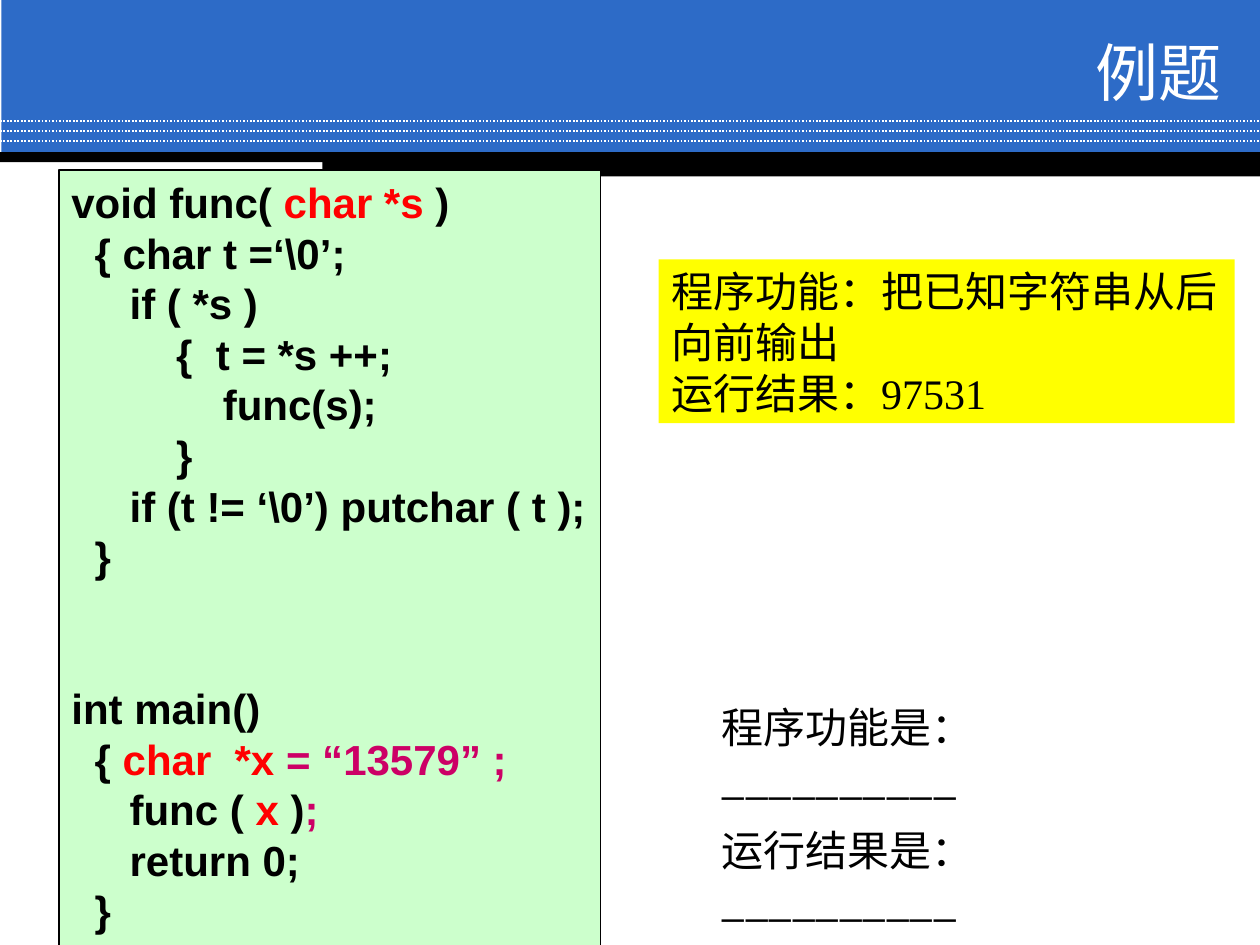
from pptx import Presentation
from pptx.dml.color import RGBColor
from pptx.enum.dml import MSO_LINE
from pptx.enum.shapes import MSO_CONNECTOR, MSO_SHAPE
from pptx.enum.text import MSO_ANCHOR, PP_ALIGN
from pptx.oxml.ns import qn
from pptx.util import Cm, Pt
from lxml import etree

COLORS = {"blue": "2D6BC7", "white": "FFFFFF", "black": "000000", "yellow": "FFFF00",
          "green": "CCFFCC", "red": "FF0000", "magenta": "CC0066"}
CJK_FONT = "Noto Sans CJK SC"
LINE_PITCH = Pt(28.9)


def add_box(left, top, width, height, fill=None):
    shape = slide.shapes.add_shape(MSO_SHAPE.RECTANGLE, Cm(left), Cm(top), Cm(width), Cm(height))
    shape.shadow.inherit = False
    shape.line.fill.background()
    if fill:
        shape.fill.solid()
        shape.fill.fore_color.rgb = RGBColor.from_string(COLORS[fill])
    else:
        shape.fill.background()
    text_frame = shape.text_frame
    text_frame.word_wrap = True
    text_frame.vertical_anchor = MSO_ANCHOR.TOP
    return shape


def write_lines(shape, lines, font_name, size=24, bold=False):
    """Each line is a list of (text, colour) runs."""
    text_frame = shape.text_frame
    for index, line in enumerate(lines):
        paragraph = text_frame.add_paragraph() if index else text_frame.paragraphs[0]
        paragraph.alignment = PP_ALIGN.LEFT
        if size == 24:
            paragraph.line_spacing = LINE_PITCH
        for text, color in line:
            run = paragraph.add_run()
            run.text = text
            run.font.size = Pt(size)
            run.font.bold = bold
            run.font.name = font_name
            run.font.color.rgb = RGBColor.from_string(COLORS[color])
            east_asian = etree.SubElement(run.font._element, qn("a:ea"))
            east_asian.set("typeface", CJK_FONT)
    return text_frame.paragraphs


presentation = Presentation()
presentation.slide_width, presentation.slide_height = Cm(25.4), Cm(19.05)
slide = presentation.slides.add_slide(presentation.slide_layouts[6])

# Header band with dotted rules and black bars
add_box(0.03, 0, 25.37, 3.12, "blue")
for row in range(3):
    y = Cm(2.44 + 0.2 * row)
    rule = slide.shapes.add_connector(MSO_CONNECTOR.STRAIGHT, 0, y, Cm(25.4), y)
    rule.line.color.rgb = RGBColor.from_string(COLORS["white"])
    rule.line.width = Pt(1)
    rule.line.dash_style = MSO_LINE.ROUND_DOT
    etree.SubElement(rule._element.spPr, qn("a:effectLst"))
add_box(0, 3.07, 25.4, 0.2, "black")
add_box(6.5, 3.15, 18.9, 0.41, "black")

# Title
title = add_box(7.29, 0.71, 17.58, 1.47)
title.text_frame.vertical_anchor = MSO_ANCHOR.MIDDLE
write_lines(title, [[("例题", "white")]], "Arial", size=36)[0].alignment = PP_ALIGN.RIGHT

# Questions
questions = add_box(14.3, 14.02, 9.83, 4.5)
question_lines = [[(f"{label}：\v__________", "black")] for label in ("程序功能是", "运行结果是")]
# A vertical tab in paragraph text becomes a line break
for index, [(text, color)] in enumerate(question_lines):
    label, blank = text.split("\v")
    question_lines[index] = [(label, color), (blank, color)]
for paragraph in write_lines(questions, question_lines, CJK_FONT):
    line_break = etree.Element(qn("a:br"))
    etree.SubElement(line_break, qn("a:rPr")).set("sz", "2400")
    paragraph.runs[0]._r.addnext(line_break)
questions.text_frame.paragraphs[1].space_before = Pt(12)

# Answers
answers = add_box(13.28, 5.23, 11.61, 3.3, "yellow")
answers.text_frame.margin_right = Cm(0.1)
write_lines(answers, [[("程序功能：把已知字符串从后向前输出", "black")],
                      [("运行结果：97531", "black")]], "Times New Roman")

# Program listing
code = add_box(1.19, 3.43, 10.92, 15.65, "green")
code.line.color.rgb = RGBColor.from_string(COLORS["black"])
code.line.width = Pt(0.75)
code.text_frame.margin_right = 0
code_lines = [
    [("void func( ", "black"), ("char *s", "red"), (" )", "black")],
    [("  { char t =‘\\0’;", "black")],
    [("     if ( *s )", "black")],
    [("         {  t = *s ++;", "black")],
    [("             func(s);", "black")],
    [("         }", "black")],
    [("     if (t != ‘\\0’) putchar ( t );", "black")],
    [("  }", "black")],
    [("int main()", "black")],
    [("  { ", "black"), ("char  *x", "red"), (" = “13579” ;", "magenta")],
    [("     func ( ", "black"), ("x ", "red"), (")", "black"), (";", "magenta")],
    [("     return 0;", "black")],
    [("  }", "black")],
]
main_paragraph = write_lines(code, code_lines, "Arial", bold=True)[8]
main_paragraph.space_before = 2 * LINE_PITCH

presentation.save("out.pptx")
